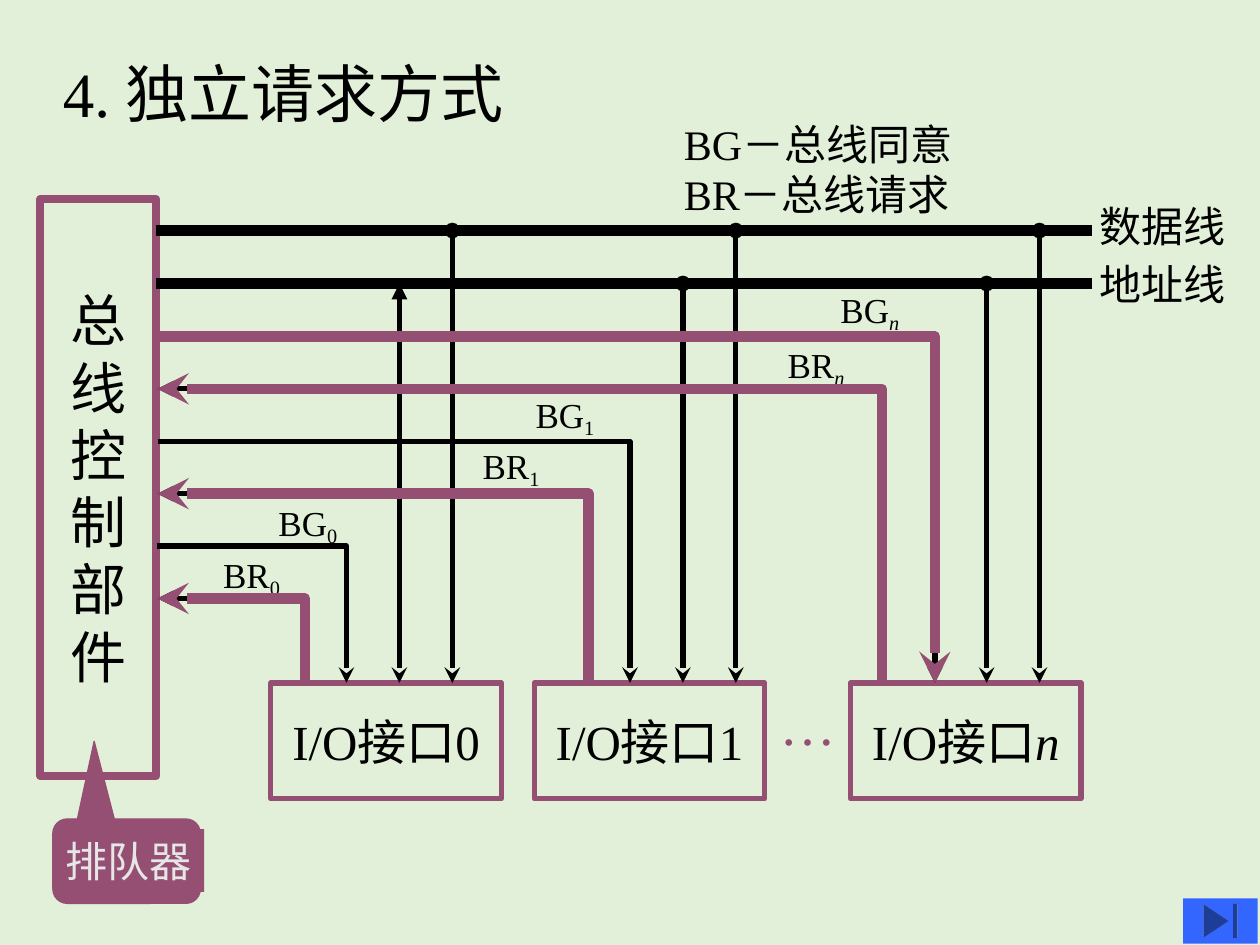
from lxml import etree
from pptx import Presentation
from pptx.dml.color import RGBColor
from pptx.enum.shapes import MSO_CONNECTOR, MSO_SHAPE
from pptx.enum.text import MSO_ANCHOR, PP_ALIGN
from pptx.oxml.ns import qn
from pptx.util import Inches, Pt

COLORS = {"bg": "E2F0D9", "ink": "000000", "plum": "954F72",
          "pale": "E7E6E6", "blue": "3366FF"}
FONT = "Times New Roman"
SUB = {"sub": True}
SUB_ITALIC = {"sub": True, "italic": True}


def rgb(name):
    return RGBColor.from_string(COLORS[name])


def style_line(shape, color, width, head=None, tail=None):
    shape.line.color.rgb = rgb(color)
    shape.line.width = Pt(width)
    ln = shape.line._get_or_add_ln()
    for tag, kind in (("a:headEnd", head), ("a:tailEnd", tail)):
        if kind:
            etree.SubElement(ln, qn(tag), type=kind)


def put_text(shape, lines, size, color="ink", align=PP_ALIGN.LEFT,
             anchor=MSO_ANCHOR.TOP, wrap=False, inset=True):
    tf = shape.text_frame
    frame = {"word_wrap": wrap, "vertical_anchor": anchor}
    if not inset:
        frame.update({f"margin_{side}": 0 for side in ("left", "top", "right", "bottom")})
    for key, value in frame.items():
        setattr(tf, key, value)
    for i, runs in enumerate(lines):
        p = tf.add_paragraph() if i else tf.paragraphs[0]
        p.alignment = align
        for text, fmt in runs:
            r = p.add_run()
            r.text = text
            font = {"name": FONT, "size": Pt(size), "italic": fmt.get("italic", False)}
            for key, value in font.items():
                setattr(r.font, key, value)
            r.font.color.rgb = rgb(color)
            if fmt.get("sub"):
                r._r.get_or_add_rPr().set("baseline", "-20000")


def add_text(s, box, lines, size, **kwargs):
    sp = s.shapes.add_textbox(*map(Inches, box))
    put_text(sp, lines, size, **kwargs)
    return sp


def add_box(s, kind, box, fill=None, line=None, width=1):
    sp = s.shapes.add_shape(kind, *map(Inches, box))
    sp.shadow.inherit = False
    if fill:
        sp.fill.solid()
        sp.fill.fore_color.rgb = rgb(fill)
    else:
        sp.fill.background()
    if line:
        style_line(sp, line, width)
    else:
        sp.line.fill.background()
    return sp


def add_line(s, x1, y1, x2, y2, width, head=None, tail=None):
    c = s.shapes.add_connector(MSO_CONNECTOR.STRAIGHT, *map(Inches, (x1, y1, x2, y2)))
    style_line(c, "ink", width, head, tail)
    etree.SubElement(c._element.spPr, qn("a:effectLst"))


def add_wire(s, x, y, w, h, color, width, head, tail):
    corners = [(Inches(px), Inches(py)) for px, py in ((x, y), (x + w, y), (x + w, y + h))]
    builder = s.shapes.build_freeform(*corners[0], scale=1.0)
    builder.add_line_segments(corners[1:], close=False)
    sp = builder.convert_to_shape()
    sp.shadow.inherit = False
    sp.fill.background()
    style_line(sp, color, width, head, tail)


def controller(s, x, y, w, h):
    sp = add_box(s, MSO_SHAPE.RECTANGLE, (x, y, w, h), line="plum", width=4.5)
    put_text(sp, [[(char, {})] for char in "总线控制部件"], 32,
             align=PP_ALIGN.CENTER, anchor=MSO_ANCHOR.MIDDLE)


def buses(s, x, y, w, gap):
    for i, (name, label_y) in enumerate((("数据线", -0.29), ("地址线", 0.17))):
        add_line(s, x, y + i * gap, x + w, y + i * gap, 6)
        add_text(s, (x + w - 0.04, y + label_y, 1.2, 0.5), [[(name, {})]], 24)


def interfaces(s, x, y, w, h):
    parts = ((0, ("0", {})), (2.09, ("1", {})), (4.6, ("n", {"italic": True})))
    for dx, number in parts:
        sp = add_box(s, MSO_SHAPE.RECTANGLE, (x + dx, y, w, h), line="plum", width=3)
        put_text(sp, [[("I/O接口", {}), number]], 28,
                 align=PP_ALIGN.CENTER, anchor=MSO_ANCHOR.MIDDLE)
    add_text(s, (x + 3.94, y, 0.64, 0.64), [[("…", {})]], 32, color="plum")


def request_wires(s, x, y, bottom, gap):
    rows = (("BG", "n", 6.17, 5.42, -0.38), ("BR", "n", 5.75, 5, -0.36),
            ("BG", "1", 3.75, 3, -0.38), ("BR", "1", 3.42, 2.58, -0.39),
            ("BG", "0", 1.5, 0.96, -0.35), ("BR", "0", 1.17, 0.52, -0.36))
    wires = []
    for i, (name, index, reach, label_x, label_y) in enumerate(rows):
        top = y + i * gap
        ends = ("stealth", None) if name == "BR" else (None, "stealth")
        wires.append((name, index, (x, top, reach, bottom - top), ends))
        sub = SUB_ITALIC if index == "n" else SUB
        add_text(s, (x + label_x, top + label_y, 0.92, 0.37),
                 [[(name, {}), (index, sub)]], 20, wrap=True, inset=False)
    for _, _, box, ends in wires:
        add_wire(s, *box, "ink", 3, *ends)
    for name, index, box, ends in wires:
        if name == "BR" or index == "n":
            add_wire(s, *box, "plum", 6, *ends)


def bus_taps(s, x, y, bottom, gap):
    for dx in (0, 2.25, 4.66):
        head = "oval" if dx else "triangle"
        add_line(s, x + dx, y + gap, x + dx, bottom, 3, head, "stealth")
        add_line(s, x + dx + gap, y, x + dx + gap, bottom, 3, "oval", "stealth")


def queue_callout(s, x, y, w, h):
    sp = add_box(s, MSO_SHAPE.ROUNDED_RECTANGULAR_CALLOUT, (x, y, w, h),
                 fill="plum", line="plum", width=0.75)
    for i, value in enumerate((-0.22, -1.42, 0.17)):
        sp.adjustments[i] = value
    label = add_box(s, MSO_SHAPE.RECTANGLE, (x, y + 0.08, w + 0.03, 0.5), fill="plum")
    put_text(label, [[("排队器", {})]], 24, color="pale")


def main():
    prs = Presentation()
    prs.slide_width, prs.slide_height = Inches(10), Inches(7.5)
    s = prs.slides.add_slide(prs.slide_layouts[6])
    s.background.fill.solid()
    s.background.fill.fore_color.rgb = rgb("bg")

    add_text(s, (0.4, 0.38, 4.6, 0.7), [[("4. 独立请求方式", {})]], 36, wrap=True)
    add_text(s, (5.33, 0.89, 2.58, 0.9),
             [[("BG－总线同意", {})], [("BR－总线请求", {})]], 24, wrap=True)
    controller(s, 0.32, 1.58, 0.92, 4.58)
    buses(s, 1.24, 1.83, 7.43, 0.42)
    interfaces(s, 2.15, 5.42, 1.83, 0.92)
    bus_taps(s, 3.17, 1.83, 5.42, 0.42)
    request_wires(s, 1.25, 2.67, 5.42, 0.416)
    queue_callout(s, 0.42, 6.5, 1.17, 0.67)
    add_box(s, MSO_SHAPE.ACTION_BUTTON_END, (9.39, 7.13, 0.59, 0.36), fill="blue")
    prs.save("out.pptx")


if __name__ == "__main__":
    main()
